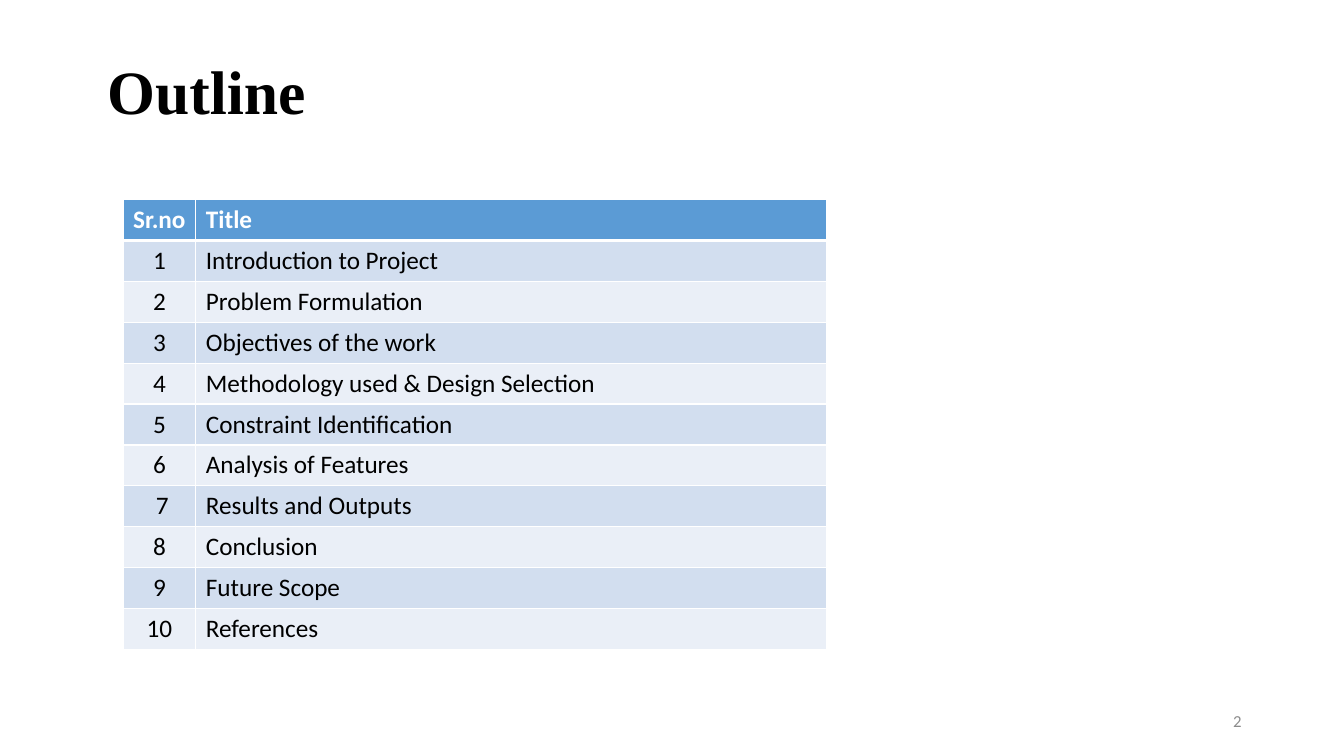
from dataclasses import dataclass

from lxml import etree
from pptx import Presentation
from pptx import util as u
from pptx.dml.color import RGBColor
from pptx.enum import text
from pptx.oxml import ns


@dataclass(frozen=True)
class Theme:
    black: str = "000000"
    white: str = "FFFFFF"
    grey: str = "8C8C8C"
    header: str = "5B9BD5"
    bands: tuple = ("D2DEEF", "EAEFF7")
    heading_font: str = "Times New Roman"
    body_font: str = "Calibri"
    heading_size: int = 44
    table_size: int = 18
    number_size: int = 12


THEME = Theme()
ALIGN = text.PP_ALIGN
ROW_HEIGHT = 29.2
COLUMN_WIDTHS = (52, 450.4)
CELL_MARGIN_RIGHT = 6
HEADINGS = ("Sr.no", "Title")
TOPICS = (
    "Introduction to Project",
    "Problem Formulation",
    "Objectives of the work",
    "Methodology used & Design Selection",
    "Constraint Identification",
    "Analysis of Features",
    "Results and Outputs",
    "Conclusion",
    "Future Scope",
    "References",
)


def write(frame, words, *, size, color=THEME.black, font=THEME.body_font,
          bold=False, align=ALIGN.LEFT, spacing=1.0):
    para = frame.paragraphs[0]
    para.alignment = align
    para.line_spacing = spacing
    span = para.add_run()
    span.text = words
    span.font.size = u.Pt(size)
    span.font.name = font
    span.font.bold = bold
    span.font.color.rgb = RGBColor.from_string(color)


def add_text(page, left, top, width, height, words, **style):
    box = page.shapes.add_textbox(u.Pt(left), u.Pt(top), u.Pt(width), u.Pt(height))
    frame = box.text_frame
    frame.word_wrap = True
    frame.vertical_anchor = text.MSO_ANCHOR.MIDDLE
    write(frame, words, **style)


def set_borders(cell, top=1, bottom=1):
    properties = cell._tc.get_or_add_tcPr()
    widths = {"lnL": 1, "lnR": 1, "lnT": top, "lnB": bottom}
    for position, (side, width) in enumerate(widths.items()):
        line = etree.Element(ns.qn(f"a:{side}"), w=str(u.Pt(width)))
        fill = etree.SubElement(line, ns.qn("a:solidFill"))
        etree.SubElement(fill, ns.qn("a:srgbClr"), val=THEME.white)
        properties.insert(position, line)


def fill_cell(cell, words, fill, *, top=1, bottom=1, **style):
    cell.fill.solid()
    cell.fill.fore_color.rgb = RGBColor.from_string(fill)
    set_borders(cell, top, bottom)
    write(cell.text_frame, words, size=THEME.table_size, **style)


def add_outline_table(page, left, top):
    row_count = len(TOPICS) + 1
    table = page.shapes.add_table(
        row_count, len(HEADINGS), u.Pt(left), u.Pt(top),
        u.Pt(sum(COLUMN_WIDTHS)), u.Pt(ROW_HEIGHT * row_count)).table
    for column, width in zip(table.columns, COLUMN_WIDTHS):
        column.width = u.Pt(width)
    for row in table.rows:
        row.height = u.Pt(ROW_HEIGHT)
    for column, heading in enumerate(HEADINGS):
        cell = table.cell(0, column)
        cell.margin_right = u.Pt(CELL_MARGIN_RIGHT)
        fill_cell(cell, heading, THEME.header, bottom=3, color=THEME.white, bold=True)
    for number, topic in enumerate(TOPICS, 1):
        band = THEME.bands[(number - 1) % 2]
        label = " 7" if number == 7 else str(number)
        top_line = 3 if number == 1 else 1
        fill_cell(table.cell(number, 0), label, band, top=top_line, align=ALIGN.CENTER)
        fill_cell(table.cell(number, 1), topic, band, top=top_line)


def main():
    deck = Presentation()
    deck.slide_width, deck.slide_height = u.Pt(960), u.Pt(540)
    page = deck.slides.add_slide(deck.slide_layouts[6])
    add_text(page, 69.5, 28.8, 828, 77, "Outline", size=THEME.heading_size,
             font=THEME.heading_font, bold=True, spacing=0.9)
    add_text(page, 678, 500.5, 216, 28.8, "2", size=THEME.number_size,
             color=THEME.grey, align=ALIGN.RIGHT)
    add_outline_table(page, 87.9, 142.6)
    deck.save("out.pptx")


if __name__ == "__main__":
    main()
